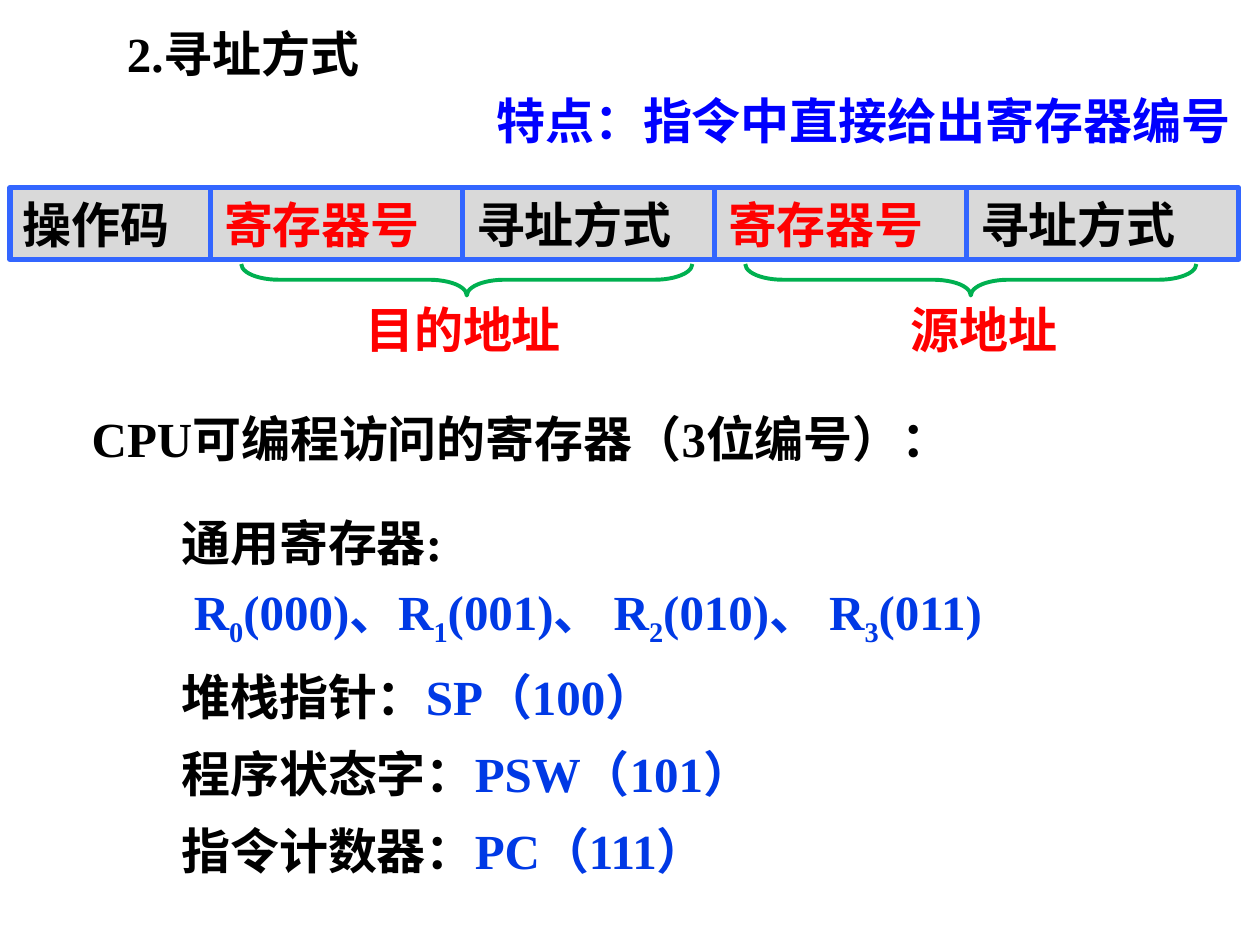
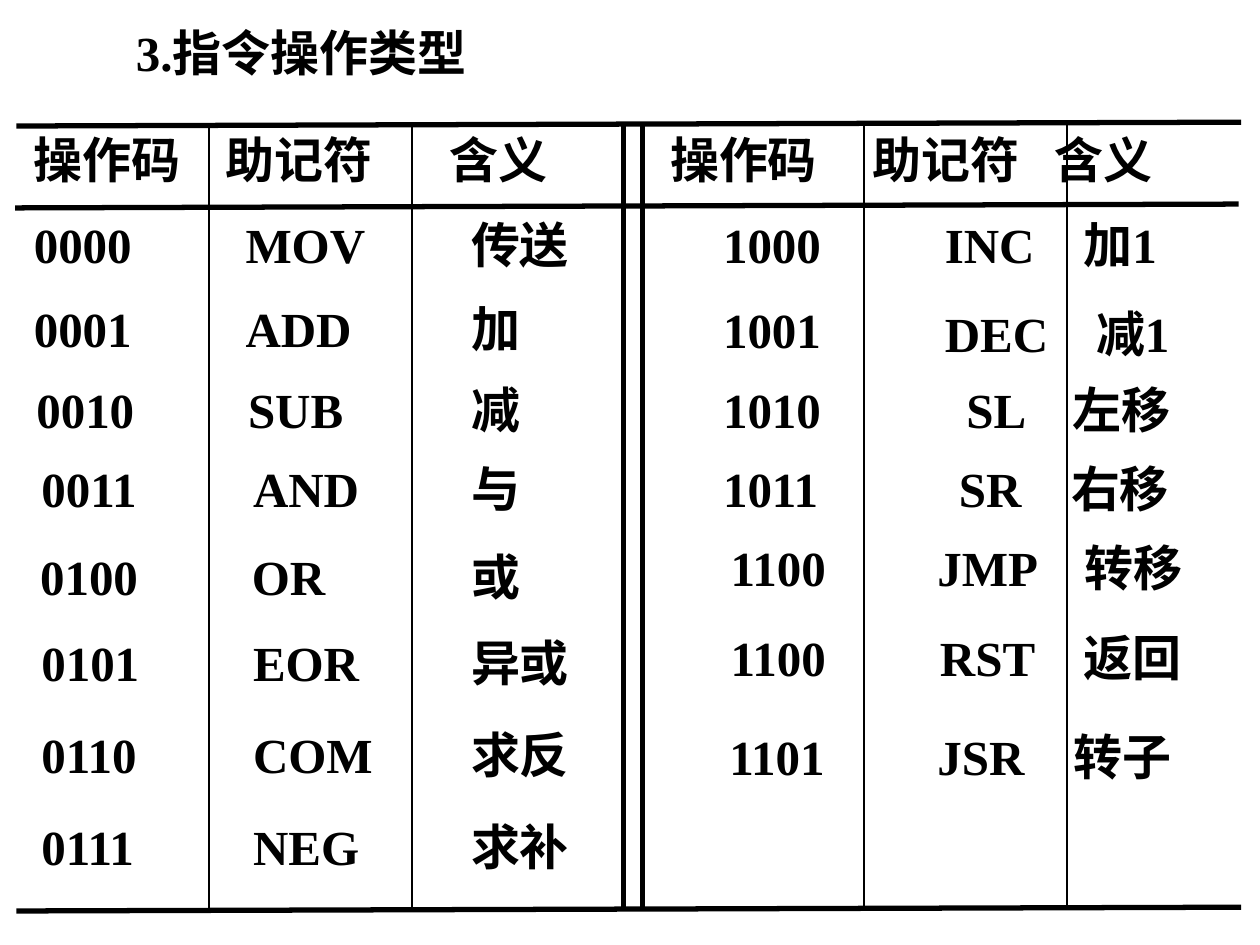
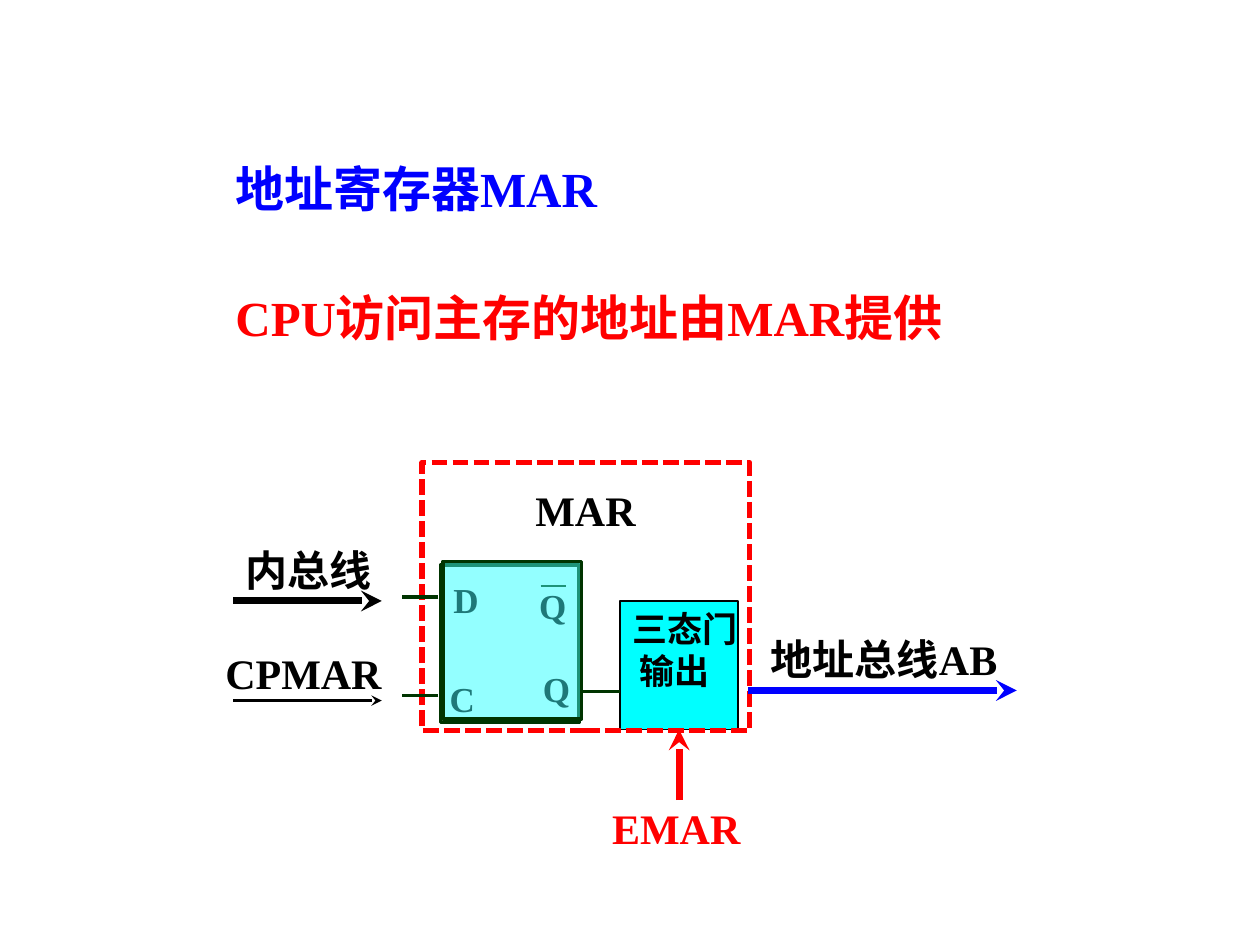
from lxml.etree import SubElement
from pptx import Presentation
from pptx.dml.color import RGBColor
from pptx.enum.dml import MSO_LINE
from pptx.enum.shapes import MSO_CONNECTOR, MSO_SHAPE
from pptx.enum.text import MSO_ANCHOR, MSO_AUTO_SIZE, PP_ALIGN
from pptx.oxml.ns import qn
from pptx.util import Inches, Pt

# Shared style
LATIN, CHINESE = "Times New Roman", "Noto Sans CJK SC"
BLACK, RED, BLUE, REGISTER_BLUE = "000000", "FF0000", "0000FF", "0039E5"
BAR_BLUE, DARK_GREEN = "3366FF", "003400"
color_of = RGBColor.from_string


def write(box, paragraphs, size=28, tabs=(), font=LATIN, inset=0.1, spacing=None):
    """Each paragraph is a list of runs: text, colour and optional 'sub'."""
    frame = box.text_frame
    frame.word_wrap = True
    frame.auto_size = MSO_AUTO_SIZE.SHAPE_TO_FIT_TEXT
    frame.margin_left = Inches(inset)
    for index, runs in enumerate(paragraphs):
        para = frame.paragraphs[0] if index == 0 else frame.add_paragraph()
        para.alignment = PP_ALIGN.LEFT
        if tabs:
            tab_list = SubElement(para._p.get_or_add_pPr(), qn("a:tabLst"))
            for tab in tabs:
                SubElement(tab_list, qn("a:tab"), pos=str(Inches(tab)), algn="l")
        if spacing:
            para.line_spacing = Pt(spacing)
            if index:
                para.space_before = Pt(14)
        for text, color, *sub in runs:
            span = para.add_run()
            span.text = text
            span.font.name = font
            span.font.size = Pt(size)
            span.font.bold = True
            span.font.color.rgb = color_of(color)
            properties = span._r.get_or_add_rPr()
            SubElement(properties, qn("a:ea"), typeface=CHINESE)
            if sub:
                properties.set("baseline", "-25000")


def draw_line(page, start, end, color, width, arrow=False):
    line = page.shapes.add_connector(
        MSO_CONNECTOR.STRAIGHT, *map(Inches, start + end))
    line.line.color.rgb = color_of(color)
    line.line.width = Pt(width)
    if arrow:
        SubElement(line.line._get_or_add_ln(), qn("a:tailEnd"), type="stealth")
    SubElement(line._element.spPr, qn("a:effectLst"))
    return line


deck = Presentation()
deck.slide_width, deck.slide_height = Inches(10), Inches(7.5)
blank = deck.slide_layouts[6]

# Slide 1: addressing modes
page = deck.slides.add_slide(blank)
for place, text, color in [
    ((0.91, 0.14, 2.44, 0.57), "2.寻址方式", BLACK),
    ((0.63, 3.19, 6.97, 0.57), "CPU可编程访问的寄存器（3位编号）：", BLACK),
    ((3.84, 0.67, 6.12, 0.57), "特点：指令中直接给出寄存器编号", BLUE),
    ((2.8, 2.33, 1.78, 0.57), "目的地址", RED),
    ((7.13, 2.33, 1.39, 0.57), "源地址", RED),
]:
    write(page.shapes.add_textbox(*map(Inches, place)), [[(text, color)]])

# Register list
general = []
for number, code in enumerate(["000", "001", "010", "011"]):
    lead = ["R", "、R", "、 R", "、 R"][number]
    general += [(lead, REGISTER_BLUE), (str(number), REGISTER_BLUE, "sub"),
                (f"({code})", REGISTER_BLUE)]
special = [[(name, BLACK), (register, REGISTER_BLUE)] for name, register in [
    ("堆栈指针：", "SP（100）"),
    ("程序状态字：", "PSW（101）"),
    ("指令计数器：", "PC（111）"),
]]
registers = page.shapes.add_textbox(
    Inches(1.34), Inches(4.07), Inches(6.95), Inches(3.15))
write(registers, [[("通用寄存器:", BLACK)], general] + special, spacing=30)
general_para = registers.text_frame.paragraphs[1]
general_para._p.get_or_add_pPr().set("indent", str(Inches(0.1)))

# Instruction format bar
bar = page.shapes.add_shape(
    MSO_SHAPE.RECTANGLE, Inches(0.08), Inches(1.49), Inches(9.75), Inches(0.57))
bar.shadow.inherit = False
bar.fill.solid()
bar.fill.fore_color.rgb = color_of("D9D9D9")
bar.line.color.rgb = color_of(BAR_BLUE)
bar.line.width = Pt(3)
write(bar, [[("操作码\t", BLACK), ("寄存器号\t", RED), ("寻址方式\t", BLACK),
             ("寄存器号\t", RED), ("寻址方式", BLACK)]], tabs=(1.6, 3.6, 5.6, 7.6))
for field in range(4):
    x = 1.67 + 2 * field
    draw_line(page, (x, 1.49), (x, 2.05), BAR_BLUE, 3)

# Braces under each operand
for x in (3.58, 7.58):
    brace = page.shapes.add_shape(
        MSO_SHAPE.LEFT_BRACE, Inches(x), Inches(0.43), Inches(0.25), Inches(3.58))
    brace.rotation = 270
    brace.adjustments[0] = 1.19
    brace.shadow.inherit = False
    brace.fill.background()
    brace.line.color.rgb = color_of("00B050")
    brace.line.width = Pt(2.25)

# Slide 2: operation types
page = deck.slides.add_slide(blank)
title = page.shapes.add_textbox(
    Inches(0.98), Inches(0.13), Inches(5.42), Inches(0.57))
write(title, [[("3.指令操作类型", BLACK)]])
header = page.shapes.add_textbox(
    Inches(0.17), Inches(0.98), Inches(9.71), Inches(0.57))
write(header, [[("操作码\t助记符\t含义\t操作码\t助记符\t含义", BLACK)]],
      tabs=(1.52, 3.3, 5.05, 6.66, 8.1))

# Left half: one box per cell
for x, y, code, mnemonic, meaning in [
    (0.17, 1.65, "0000", "MOV", "传送"),
    (0.17, 2.32, "0001", "ADD", "加"),
    (0.19, 2.96, "0010", "SUB", "减"),
    (0.23, 3.59, "0011", "AND", "与"),
    (0.22, 4.29, "0100", "OR", "或"),
    (0.23, 4.97, "0101", "EOR", "异或"),
    (0.23, 5.7, "0110", "COM", "求反"),
    (0.23, 6.43, "0111", "NEG", "求补"),
]:
    for left, width, text in [
        (x, 1.78, code), (x + 1.68, 1.38, mnemonic), (3.64, 1.7, meaning),
    ]:
        cell = page.shapes.add_textbox(
            Inches(left), Inches(y), Inches(width), Inches(0.57))
        write(cell, [[(text, BLACK)]])

# Right half: a code box, then mnemonic and meaning in one box
for code_x, code_y, code, x, y, inset, text, tab in [
    (5.64, 1.65, "1000", 7.4, 1.65, 0.1, "INC\t加1", 1.1),
    (5.64, 2.33, "1001", 7.4, 2.36, 0.1, "DEC\t减1", 1.2),
    (5.64, 2.96, "1010", 7.44, 2.96, 0.23, "SL\t左移", 0.84),
    (5.64, 3.59, "1011", 7.4, 3.59, 0.21, "SR\t右移", 0.89),
    (5.7, 4.22, "1100", 7.32, 4.22, 0.12, "JMP\t转移", 1.17),
    (5.7, 4.93, "1100", 7.32, 4.93, 0.14, "RST\t返回", 1.14),
    (5.69, 5.72, "1101", 7.32, 5.72, 0.12, "JSR\t转子", 1.08),
]:
    code_box = page.shapes.add_textbox(
        Inches(code_x), Inches(code_y), Inches(1.78), Inches(0.57))
    write(code_box, [[(code, BLACK)]])
    action_box = page.shapes.add_textbox(
        Inches(x), Inches(y), Inches(2.45), Inches(0.57))
    write(action_box, [[(text, BLACK)]], tabs=(tab,), inset=inset)

# Rules between rows and columns
for left, right, y in [(0.13, 9.85, 1), (0.12, 9.83, 1.65), (0.13, 9.85, 7.23)]:
    draw_line(page, (left, y), (right, y - 0.03), BLACK, 3)
for x, width in [(1.66, 1), (3.27, 1), (4.95, 3), (5.1, 3), (6.86, 1), (8.47, 1)]:
    draw_line(page, (x, 0.99), (x, 7.22), BLACK, width)

# Slide 3: address register
page = deck.slides.add_slide(blank)

# Gate, dashed outline and latch
blocks = []
for place, rotation, fill, color, width in [
    ((4.92, 4.77, 0.94, 1.02), 0, "00FFFF", BLACK, 1),
    ((3.35, 3.67, 2.6, 2.13), 0, None, RED, 3),
    ((3.42, 4.56, 1.25, 1.1), 90, "DDFFFF", DARK_GREEN, 2),
]:
    block = page.shapes.add_shape(MSO_SHAPE.RECTANGLE, *map(Inches, place))
    block.rotation = rotation
    block.shadow.inherit = False
    if fill:
        block.fill.solid()
        block.fill.fore_color.rgb = color_of(fill)
    else:
        block.fill.background()
    block.line.color.rgb = color_of(color)
    block.line.width = Pt(width)
    blocks.append(block)
gate, outline, latch = blocks
outline.line.dash_style = MSO_LINE.SQUARE_DOT
write(gate, [[("三态门", BLACK)], [("输出", BLACK)]], size=20, font=CHINESE)
gate.text_frame.word_wrap = False
gate.text_frame.auto_size = MSO_AUTO_SIZE.NONE
gate.text_frame.vertical_anchor = MSO_ANCHOR.TOP
gate.text_frame.paragraphs[1]._p.get_or_add_pPr().set("marL", str(Inches(0.06)))

# Statements and labels
for place, text, color, size in [
    ((1.77, 1.21, 5.5, 0.57), "地址寄存器MAR", BLUE, 28),
    ((1.77, 2.23, 5.89, 0.57), "CPU访问主存的地址由MAR提供", RED, 28),
    ((6.02, 4.98, 2.02, 0.5), "地址总线AB", BLACK, 24),
    ((1.85, 4.27, 1.22, 0.5), "内总线", BLACK, 24),
    ((1.69, 5.09, 1.46, 0.5), "CPMAR", BLACK, 24),
    ((4.76, 6.32, 1.23, 0.5), "EMAR", RED, 24),
    ((4.15, 3.8, 1.01, 0.5), "MAR", BLACK, 24),
    ((3.5, 4.54, 0.55, 0.39), "D", BLACK, 20),
    ((3.47, 5.33, 0.54, 0.39), "C", BLACK, 20),
    ((4.21, 5.25, 0.55, 0.39), "Q", BLACK, 20),
    ((4.18, 4.59, 0.51, 0.39), "Q", BLACK, 20),
]:
    write(page.shapes.add_textbox(*map(Inches, place)), [[(text, color)]], size)

# Buses, control signals and pins
draw_line(page, (5.94, 5.48), (8.07, 5.48), BLUE, 4, arrow=True)
draw_line(page, (1.85, 4.77), (3.03, 4.77), BLACK, 4, arrow=True)
draw_line(page, (1.85, 5.56), (3.03, 5.56), BLACK, 2, arrow=True)
enable = draw_line(page, (5.39, 6.35), (5.39, 5.79), RED, 4, arrow=True)
enable.end_connect(gate, 2)
for start, end, width in [
    ((4.92, 5.49), (4.59, 5.49), 2),
    ((3.48, 4.74), (3.19, 4.74), 2),
    ((3.48, 5.52), (3.19, 5.52), 2),
    ((4.29, 4.65), (4.49, 4.65), 1.5),
]:
    draw_line(page, start, end, DARK_GREEN, width)

# Translucent cover over the latch
cover = page.shapes.add_shape(
    MSO_SHAPE.RECTANGLE, Inches(3.44), Inches(4.53), Inches(1.25), Inches(1.1))
cover.rotation = 90
cover.shadow.inherit = False
cover.fill.solid()
cover.fill.fore_color.rgb = color_of("40FFFF")
cover_color = cover._element.spPr.find(qn("a:solidFill")).find(qn("a:srgbClr"))
SubElement(cover_color, qn("a:alpha"), val="47000")
cover.line.color.rgb = color_of(DARK_GREEN)
cover.line.width = Pt(2)

deck.save("out.pptx")
